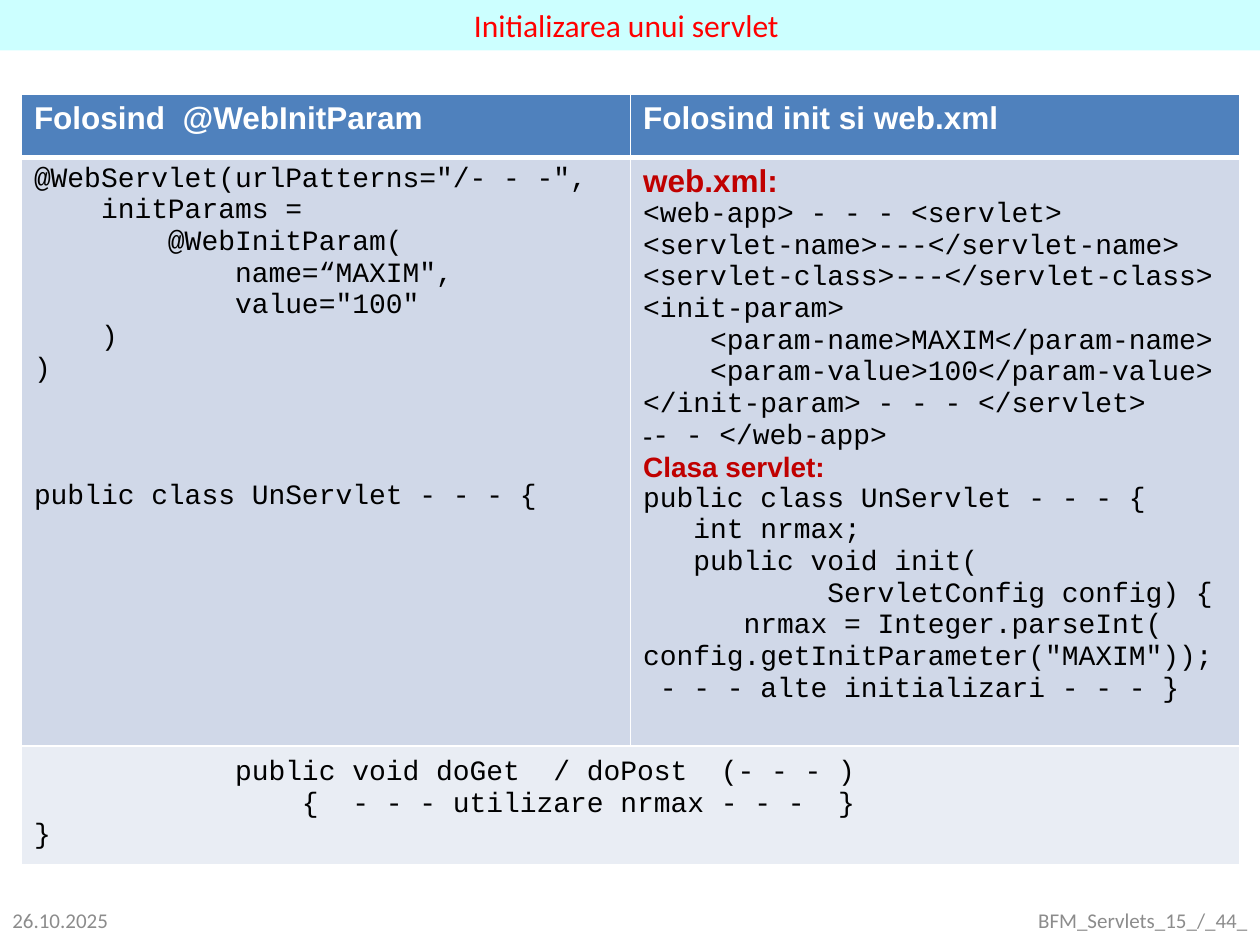
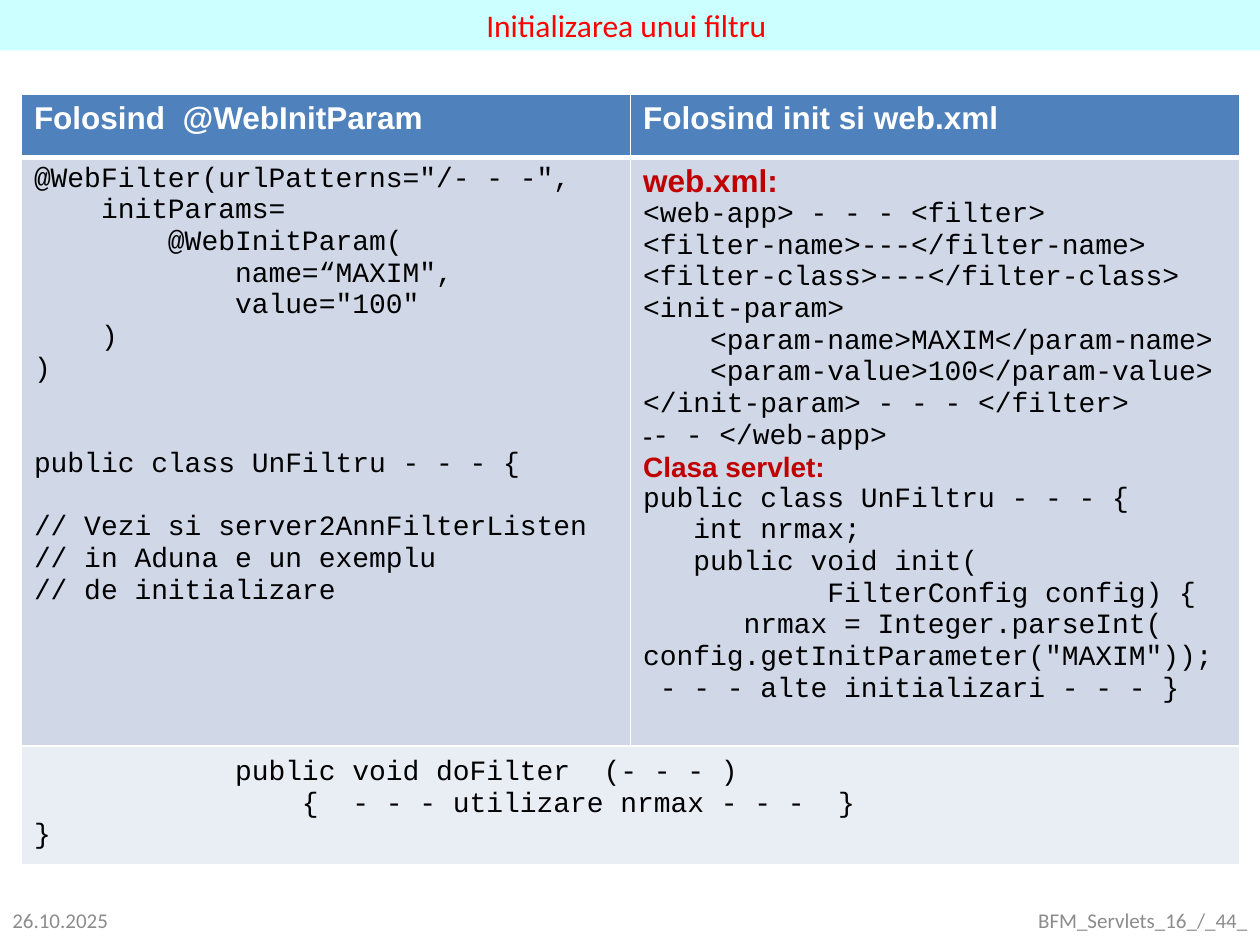
from dataclasses import dataclass, field

from lxml import etree
from pptx import Presentation
from pptx.dml.color import RGBColor
from pptx.enum import shapes, text
from pptx.oxml import ns
from pptx.util import Inches, Pt

COLUMNS, ROWS = 100, 75
WIDTH, HEIGHT = Inches(10), Inches(7.5)
BLANK = 6


@dataclass(frozen=True)
class Style:
    font: str
    size: int
    color: str
    bold: bool = False


@dataclass(frozen=True)
class Theme:
    band: str = "CCFFFF"
    head: str = "4F81BD"
    body: str = "D0D8E8"
    foot: str = "E9EDF4"
    border: str = "FFFFFF"
    code_pitch: float = 18.1
    title: Style = Style("Calibri", 18, "FF0000")
    footer: Style = Style("Calibri", 12, "8C8C8C")
    heading: Style = Style("Arial", 18, "FFFFFF", True)
    label: Style = Style("Arial", 18, "C00000", True)
    sublabel: Style = Style("Arial", 16, "C00000", True)
    code: Style = Style("Courier New", 16, "000000")


THEME = Theme()


@dataclass(frozen=True)
class Box:
    col: float
    row: float
    cols: float
    rows: float

    def emu(self) -> tuple[int, int, int, int]:
        return across(self.col), down(self.row), across(self.cols), down(self.rows)


@dataclass(frozen=True)
class Line:
    words: str
    style: Style
    gap: int = 0
    dash: bool = False


@dataclass(frozen=True)
class Lesson:
    title: str
    page: int
    annotation: str
    params: str
    tag: str
    cls: str
    config: str
    method: str
    class_gap: int
    remark: list[str] = field(default_factory=list)


LESSONS = [
    Lesson("Initializarea unui servlet ", 15, "@WebServlet", "initParams =", "servlet",
           "UnServlet", "ServletConfig", "doGet  / doPost", 3),
    Lesson("Initializarea unui filtru ", 16, "@WebFilter", "initParams=", "filter",
           "UnFiltru", "FilterConfig", "doFilter", 2,
           ["// Vezi si server2AnnFilterListen", "// in Aduna e un exemplu",
            "// de initializare"]),
]

TITLE_BAND = Box(0, 0, 100, 4)
DATE = Box(0, 71, 10, 4)
PAGE = Box(75, 71, 25, 4)
TABLE = Box(1.7, 7.5, 96.7, 61)
TABLE_ROWS = (5, 46.7, 9.3)


def across(columns: float) -> int:
    return int(WIDTH * columns / COLUMNS)


def down(rows: float) -> int:
    return int(HEIGHT * rows / ROWS)


def apply(target, values: dict) -> None:
    for name, value in values.items():
        setattr(target, name, value)


def code(source: str) -> list[Line]:
    return [Line(words, THEME.code) for words in source.strip("\n").split("\n")]


def annotation_lines(lesson: Lesson) -> list[Line]:
    lines = code(f"""
{lesson.annotation}(urlPatterns="/- - -",
    {lesson.params}
        @WebInitParam(
            name=“MAXIM",
            value="100"
    )
)
""")
    lines.append(Line(f"public class {lesson.cls} - - - {{", THEME.code, lesson.class_gap))
    for i, words in enumerate(lesson.remark):
        lines.append(Line(words, THEME.code, 1 if i == 0 else 0))
    return lines


def init_lines(lesson: Lesson) -> list[Line]:
    tag = lesson.tag
    descriptor = code(f"""
<web-app> - - - <{tag}>
<{tag}-name>---</{tag}-name>
<{tag}-class>---</{tag}-class>
<init-param>
    <param-name>MAXIM</param-name>
    <param-value>100</param-value>
</init-param> - - - </{tag}>
""")
    servlet_class = code(f"""
public class {lesson.cls} - - - {{
   int nrmax;
   public void init(
           {lesson.config} config) {{
      nrmax = Integer.parseInt(
config.getInitParameter("MAXIM"));
 - - - alte initializari - - - }}
""")
    return [Line("web.xml:", THEME.label), *descriptor,
            Line("- - </web-app>", THEME.code, dash=True),
            Line("Clasa servlet:", THEME.sublabel), *servlet_class]


def method_lines(lesson: Lesson) -> list[Line]:
    return code(f"""
            public void {lesson.method}  (- - - )
                {{  - - - utilizare nrmax - - -  }}
}}
""")


def write(tf, lines: list[Line], align=text.PP_ALIGN.LEFT) -> None:
    for i, line in enumerate(lines):
        p = tf.paragraphs[0] if i == 0 else tf.add_paragraph()
        p.alignment = align
        if line.gap:
            p.space_before = Pt(line.gap * THEME.code_pitch)
        if line.dash:
            pPr = p._p.get_or_add_pPr()
            etree.SubElement(pPr, ns.qn("a:buFont"), typeface="Arial")
            etree.SubElement(pPr, ns.qn("a:buChar"), char="-")
        r = p.add_run()
        r.text = line.words
        style = line.style
        apply(r.font, {"name": style.font, "size": Pt(style.size), "bold": style.bold})
        r.font.color.rgb = RGBColor.from_string(style.color)


def add_footer(slide, box: Box, words: str, align) -> None:
    tf = slide.shapes.add_textbox(*box.emu()).text_frame
    apply(tf, {"word_wrap": True, "vertical_anchor": text.MSO_ANCHOR.MIDDLE})
    write(tf, [Line(words, THEME.footer)], align)


def add_title(slide, words: str) -> None:
    sp = slide.shapes.add_shape(shapes.MSO_SHAPE.RECTANGLE, *TITLE_BAND.emu())
    sp.shadow.inherit = False
    sp.fill.solid()
    sp.fill.fore_color.rgb = RGBColor.from_string(THEME.band)
    sp.line.fill.background()
    apply(sp.text_frame, {"word_wrap": True, "vertical_anchor": text.MSO_ANCHOR.MIDDLE})
    write(sp.text_frame, [Line(words, THEME.title)], text.PP_ALIGN.CENTER)


def style_cell(cell, fill: str, top: float, bottom: float) -> None:
    tcPr = cell._tc.get_or_add_tcPr()
    for side, width in {"L": 1, "R": 1, "T": top, "B": bottom}.items():
        ln = etree.SubElement(tcPr, ns.qn(f"a:ln{side}"), w=str(Pt(width)))
        solid = etree.SubElement(ln, ns.qn("a:solidFill"))
        etree.SubElement(solid, ns.qn("a:srgbClr"), val=THEME.border)
    cell.fill.solid()
    cell.fill.fore_color.rgb = RGBColor.from_string(fill)


def add_comparison(slide, lesson: Lesson) -> None:
    table = slide.shapes.add_table(3, 2, *TABLE.emu()).table
    for column in table.columns:
        column.width = across(TABLE.cols / 2)
    for row, rows in zip(table.rows, TABLE_ROWS):
        row.height = down(rows)

    looks = [(THEME.head, 1, 3), (THEME.body, 3, 1), (THEME.foot, 1, 1)]
    for row, look in zip(table.rows, looks):
        for cell in row.cells:
            style_cell(cell, *look)

    method = table.cell(2, 0)
    method.merge(table.cell(2, 1))
    method.margin_top = Inches(0.09)

    contents = {
        (0, 0): [Line("Folosind  @WebInitParam", THEME.heading)],
        (0, 1): [Line("Folosind init si web.xml", THEME.heading)],
        (1, 0): annotation_lines(lesson),
        (1, 1): init_lines(lesson),
        (2, 0): method_lines(lesson),
    }
    for place, lines in contents.items():
        write(table.cell(*place).text_frame, lines)


def main() -> None:
    prs = Presentation()
    apply(prs, {"slide_width": WIDTH, "slide_height": HEIGHT})
    for lesson in LESSONS:
        slide = prs.slides.add_slide(prs.slide_layouts[BLANK])
        add_footer(slide, DATE, "26.10.2025", text.PP_ALIGN.LEFT)
        add_footer(slide, PAGE, f"BFM_Servlets_{lesson.page}_/_44_", text.PP_ALIGN.RIGHT)
        add_title(slide, lesson.title)
        add_comparison(slide, lesson)
    prs.save("out.pptx")


if __name__ == "__main__":
    main()
